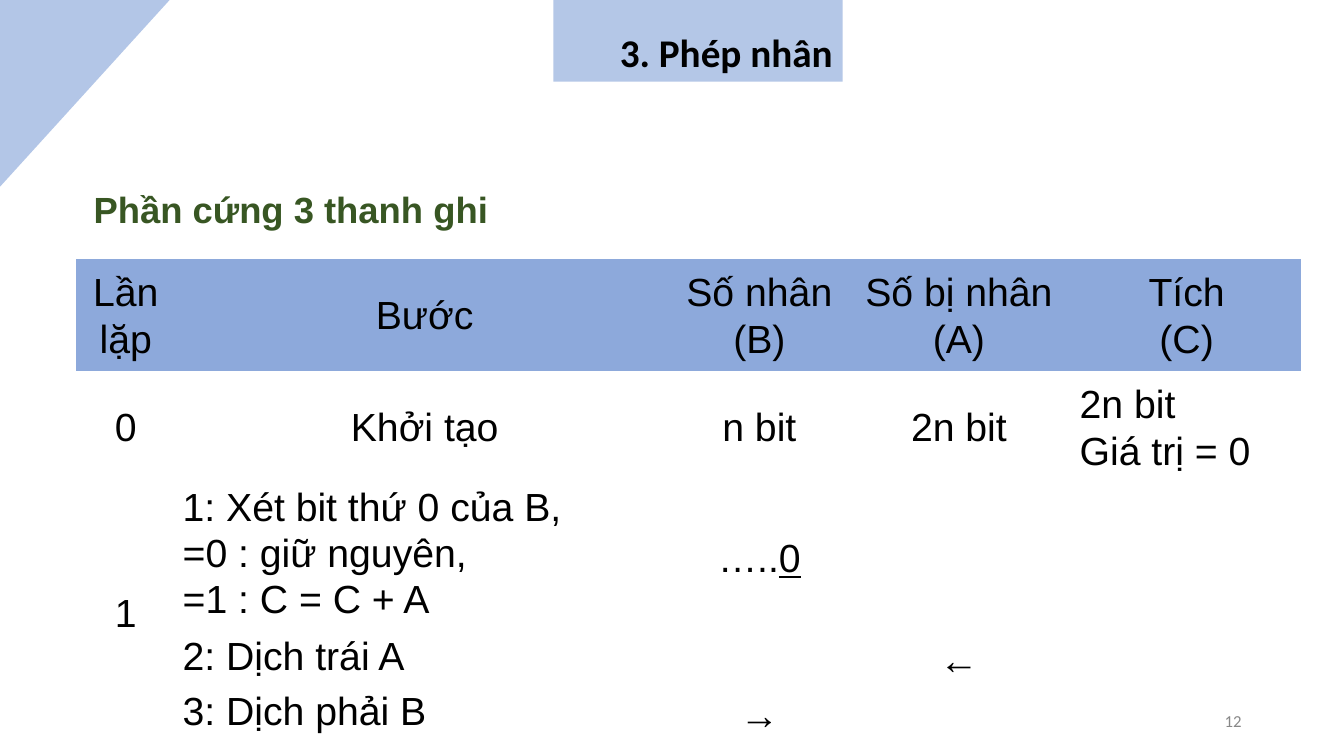
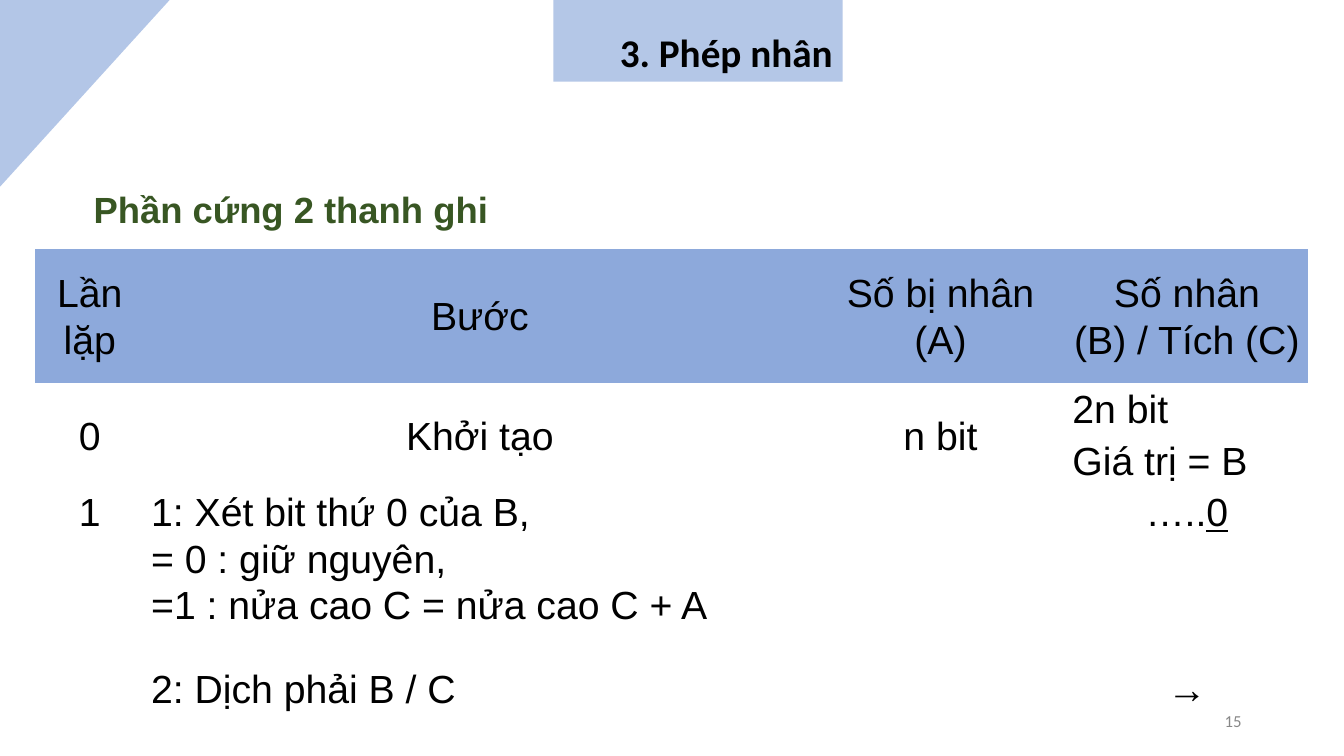
from dataclasses import dataclass

from pptx import Presentation
from pptx import util as u
from pptx.dml.color import RGBColor
from pptx.enum import text as t
from pptx.enum import shapes as s

Pt = u.Pt
MID, TOP = t.MSO_ANCHOR.MIDDLE, t.MSO_ANCHOR.TOP
LEFT, RIGHT = t.PP_ALIGN.LEFT, t.PP_ALIGN.RIGHT
CENTER, JUST = t.PP_ALIGN.CENTER, t.PP_ALIGN.JUSTIFY


@dataclass(frozen=True)
class Theme:
    corner: str = "B3C6E7"
    band: str = "B4C7E7"
    head: str = "8DA9DB"
    green: str = "385623"
    grey: str = "888888"
    ink: str = "000000"
    sans: str = "Arial"
    plain: str = "Calibri"
    big: float = 28
    sub: float = 26
    small: float = 12
    lead: float = 1.06
    no_grid: str = "{2D5ABB26-0587-4C30-8999-92F81FD0307C}"


@dataclass(frozen=True)
class Font:
    name: str
    size: float
    color: str
    bold: bool = False


@dataclass(frozen=True)
class Cell:
    text: str = ""
    align: t.PP_ALIGN = CENTER
    anchor: t.MSO_ANCHOR = MID
    mark: str = ""  # underlined ending
    lead: float = Theme.lead
    gap: float = 0
    span: int = 1


@dataclass(frozen=True)
class Page:
    number: str
    sub: str
    left: float
    top: float
    cols: list[float]
    rows: list[float]
    cells: list[list[Cell]]


TH = Theme()
TITLE = Font(TH.plain, TH.big, TH.ink, True)
SUB = Font(TH.sans, TH.sub, TH.green, True)
FOOT = Font(TH.plain, TH.small, TH.grey)
BODY = Font(TH.sans, TH.big, TH.ink)
NONE = Cell()


def color(code: str) -> RGBColor:
    return RGBColor.from_string(code)


def style(frame, font: Font, align: t.PP_ALIGN, lead: float = 1, gap: float = 0) -> None:
    for i, para in enumerate(frame.paragraphs):
        para.alignment = align
        para.line_spacing = lead
        if gap and i:
            para.space_before = Pt(gap)
        for run in para.runs:
            run.font.name, run.font.size = font.name, Pt(font.size)
            run.font.bold = font.bold
            run.font.color.rgb = color(font.color)


def paint(shape, code: str) -> None:
    shape.shadow.inherit = False
    shape.fill.solid()
    shape.fill.fore_color.rgb = color(code)
    shape.line.fill.background()


def label(slide, box: tuple[float, ...], words: str, font: Font,
          align: t.PP_ALIGN = LEFT, anchor: t.MSO_ANCHOR = TOP) -> None:
    frame = slide.shapes.add_textbox(*map(Pt, box)).text_frame
    frame.word_wrap = True
    frame.vertical_anchor = anchor
    frame.text = words
    style(frame, font, align)


def frame_page(slide, page: Page) -> None:
    # Corner triangle
    pen = slide.shapes.build_freeform(Pt(-0.6), 0)
    pen.add_line_segments([(Pt(-0.6), Pt(134)), (Pt(122.4), Pt(-1.4))], close=True)
    paint(pen.convert_to_shape(), TH.corner)

    # Title band
    band = slide.shapes.add_shape(s.MSO_SHAPE.RECTANGLE, Pt(395.3), 0, Pt(206.6), Pt(58.3))
    paint(band, TH.band)
    band.text_frame.vertical_anchor = TOP
    band.text_frame.text = "3. Phép nhân"
    style(band.text_frame, TITLE, RIGHT, 1.5)

    # Subtitle and page number
    label(slide, (59.8, 130.3, 413, 38.9), page.sub, SUB)
    label(slide, (678, 500.4, 216, 28.8), page.number, FOOT, RIGHT, MID)


def fill_cell(cell, item: Cell, head: bool) -> None:
    cell.margin_left = cell.margin_right = Pt(5)
    cell.margin_top = cell.margin_bottom = 0
    cell.vertical_anchor = item.anchor
    if head:
        cell.fill.solid()
        cell.fill.fore_color.rgb = color(TH.head)
    else:
        cell.fill.background()
    frame = cell.text_frame
    frame.text = item.text
    if item.mark:
        run = frame.paragraphs[-1].add_run()
        run.text = item.mark
        run.font.underline = True
    style(frame, BODY, item.align, item.lead, item.gap)


def draw_table(slide, page: Page) -> None:
    grid = slide.shapes.add_table(
        len(page.rows), len(page.cols), Pt(page.left), Pt(page.top),
        Pt(sum(page.cols)), Pt(sum(page.rows))).table
    grid.first_row = grid.horz_banding = False
    grid._tbl.tblPr[0].text = TH.no_grid
    for col, wide in zip(grid.columns, page.cols):
        col.width = Pt(wide)
    for row, high in zip(grid.rows, page.rows):
        row.height = Pt(high)
    for r, line in enumerate(page.cells):
        for c, item in enumerate(line):
            fill_cell(grid.cell(r, c), item, r == 0)
            if item.span > 1:
                grid.cell(r, c).merge(grid.cell(r + item.span - 1, c))


def step(words: str, anchor: t.MSO_ANCHOR = TOP) -> Cell:
    return Cell(words, JUST, anchor)


PAGES = [
    Page("12", "Phần cứng 3 thanh ghi", 54.2, 185,
         [71.3, 355.7, 122.4, 162.7, 162.7], [80, 80, 100.8, 38.9, 38.9], [
             [Cell("Lần lặp"), Cell("Bước"), Cell("Số nhân (B)"),
              Cell("Số bị nhân\n(A)"), Cell("Tích\n(C)")],
             [Cell("0"), Cell("Khởi tạo"), Cell("n bit"), Cell("2n bit"),
              step("2n bit\nGiá trị = 0", MID)],
             [Cell("1", span=3),
              step("1: Xét bit thứ 0 của B,\n=0 : giữ nguyên,\n=1 : C = C + A"),
              Cell("…..", mark="0"), NONE, NONE],
             [NONE, step("2: Dịch trái A"), NONE, Cell("←"), NONE],
             [NONE, step("3: Dịch phải B"), Cell("→"), NONE, NONE],
         ]),
    Page("15", "Phần cứng 2 thanh ghi", 25.2, 177.8,
         [77.8, 479.5, 178.6, 173.5], [95.8, 75.6, 123.8, 37.4], [
             [Cell("Lần lặp"), Cell("Bước"), Cell("Số bị nhân\n(A)"),
              Cell("Số nhân (B) / Tích (C)")],
             [Cell("0"), Cell("Khởi tạo"), Cell("n bit"),
              Cell("2n bit\nGiá trị = B", JUST, lead=1, gap=6)],
             [Cell("1", anchor=TOP, span=2),
              step("1: Xét bit thứ 0 của B,\n= 0 : giữ nguyên,\n"
                   "=1 : nửa cao C = nửa cao C + A"),
              NONE, Cell("…..", anchor=TOP, mark="0")],
             [NONE, step("2: Dịch phải B / C", MID), NONE, Cell("→")],
         ]),
]


def main() -> None:
    deck = Presentation()
    deck.slide_width, deck.slide_height = Pt(960), Pt(540)
    for page in PAGES:
        slide = deck.slides.add_slide(deck.slide_layouts[6])
        frame_page(slide, page)
        draw_table(slide, page)
    deck.save("out.pptx")


if __name__ == "__main__":
    main()
